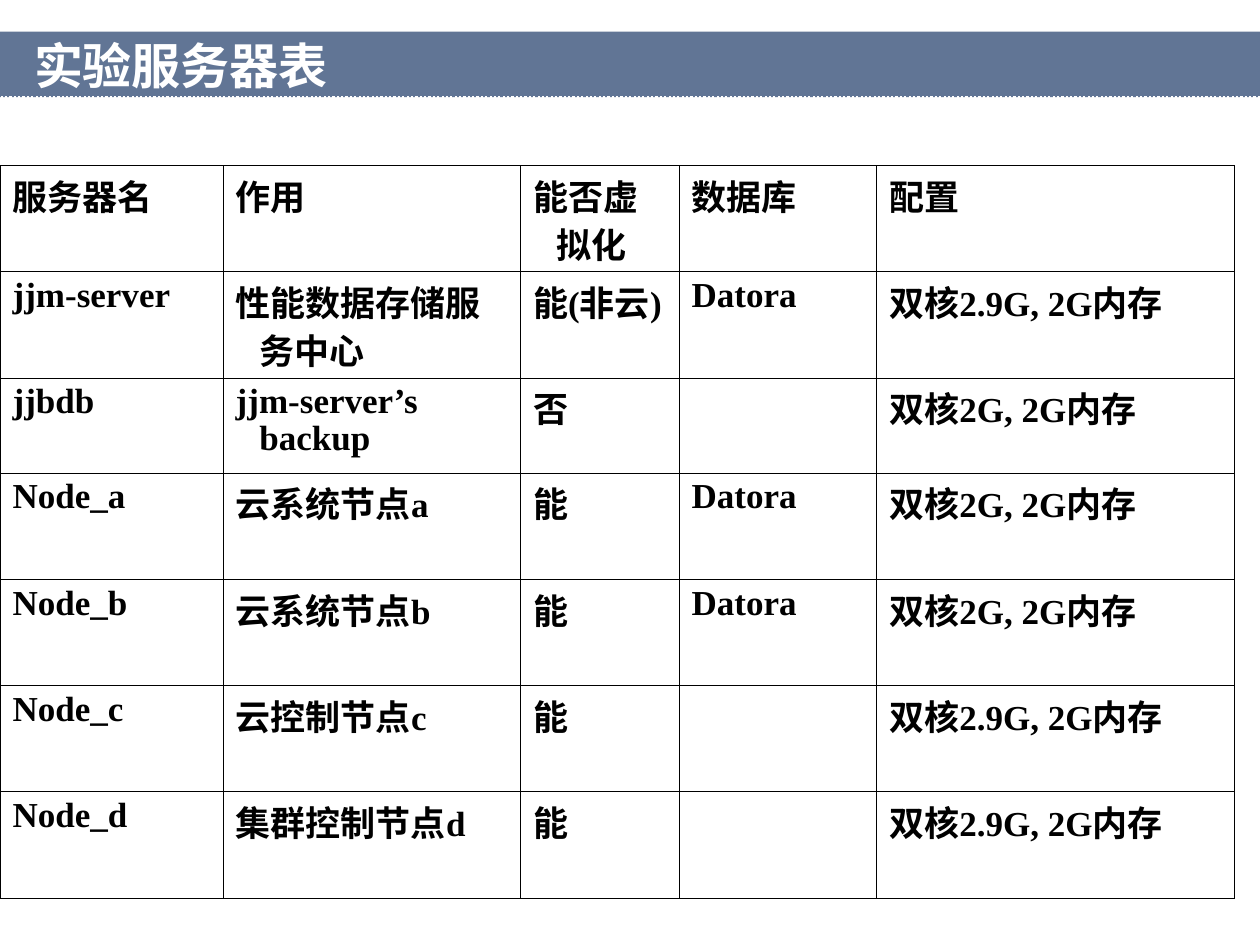
from lxml.etree import SubElement
from pptx import Presentation
from pptx.dml.color import RGBColor
from pptx.enum.dml import MSO_LINE_DASH_STYLE as Dash
from pptx.enum.lang import MSO_LANGUAGE_ID as Language
from pptx.enum.shapes import MSO_CONNECTOR_TYPE as Connector, MSO_SHAPE as Shape
from pptx.enum.text import MSO_ANCHOR as Anchor, MSO_AUTO_SIZE as AutoSize
from pptx.oxml.ns import qn
from pptx.util import Pt

COLORS = {"band": "617595", "white": "FFFFFF", "black": "000000"}

COLUMN_WIDTHS = [127.5, 170, 90.5, 113, 204.5]
BACKUP_ROW = 2
SERVERS = [
    ["服务器名", "作用", "能否虚拟化", "数据库", "配置"],
    ["jjm-server", "性能数据存储服务中心", "能(非云)", "Datora", "双核2.9G, 2G内存"],
    ["jjbdb", "jjm-server’s backup", "否", "", "双核2G, 2G内存"],
    ["Node_a", "云系统节点a", "能", "Datora", "双核2G, 2G内存"],
    ["Node_b", "云系统节点b", "能", "Datora", "双核2G, 2G内存"],
    ["Node_c", "云控制节点c", "能", "", "双核2.9G, 2G内存"],
    ["Node_d", "集群控制节点d", "能", "", "双核2.9G, 2G内存"],
]


def color(name):
    return RGBColor.from_string(COLORS[name])


def add_run(paragraph, text, font_name, size, color_name):
    run = paragraph.add_run()
    run.text = text
    run.font.name = font_name
    run.font.size = Pt(size)
    run.font.bold = True
    run.font.color.rgb = color(color_name)
    run.font.language_id = Language.SIMPLIFIED_CHINESE


def add_title_band(slide, left, top, width, height, title):
    # Coloured band
    band = slide.shapes.add_shape(
        Shape.RECTANGLE, Pt(left), Pt(top), Pt(width), Pt(height))
    band.shadow.inherit = False
    band.fill.solid()
    band.fill.fore_color.rgb = color("band")
    band.line.fill.background()

    # Dotted rule along the lower edge
    bottom = top + height
    rule = slide.shapes.add_connector(
        Connector.STRAIGHT, Pt(left + width), Pt(bottom), Pt(left), Pt(bottom))
    rule.line.color.rgb = color("white")
    rule.line.width = Pt(1.25)
    rule.line.dash_style = Dash.ROUND_DOT
    SubElement(rule._element.spPr, qn("a:effectLst"))

    # Title text
    box = slide.shapes.add_textbox(
        Pt(left + 19.5), Pt(top + 6.5), Pt(width - 69), Pt(30))
    frame = box.text_frame
    frame.margin_left = frame.margin_top = 0
    frame.margin_right = frame.margin_bottom = 0
    frame.word_wrap = True
    frame.auto_size = AutoSize.SHAPE_TO_FIT_TEXT
    frame.vertical_anchor = Anchor.MIDDLE
    paragraph = frame.paragraphs[0]
    paragraph.line_spacing = 0.9
    add_run(paragraph, title, "Arial", 28, "white")


def style_cell(cell):
    properties = cell._tc.get_or_add_tcPr()
    for side in ("a:lnL", "a:lnR", "a:lnT", "a:lnB"):
        border = SubElement(properties, qn(side), w=str(Pt(0.45)))
        fill = SubElement(border, qn("a:solidFill"))
        SubElement(fill, qn("a:srgbClr"), val=COLORS["black"])
    cell.fill.background()
    cell.margin_left = cell.margin_right = Pt(7.2)
    cell.margin_top = cell.margin_bottom = Pt(3.6)


def fill_cell(cell, text):
    paragraph = cell.text_frame.paragraphs[0]
    paragraph.line_spacing = 0.95
    # Hanging indent for wrapped lines
    properties = paragraph._p.get_or_add_pPr()
    properties.set("marL", str(Pt(13.5)))
    properties.set("indent", str(-Pt(13.5)))
    add_run(paragraph, text, "Times New Roman", 20, "black")


def add_server_table(slide, left, top, width, height):
    table = slide.shapes.add_table(
        len(SERVERS), len(COLUMN_WIDTHS),
        Pt(left), Pt(top), Pt(width), Pt(height)).table
    table.first_row = False
    table.horz_banding = False
    for column, column_width in zip(table.columns, COLUMN_WIDTHS):
        column.width = Pt(column_width)

    # Equal rows, apart from the shorter backup server row
    backup_height = 54.25
    row_height = (height - backup_height) / (len(SERVERS) - 1)
    for index, (row, values) in enumerate(zip(table.rows, SERVERS)):
        row.height = Pt(backup_height if index == BACKUP_ROW else row_height)
        for cell, text in zip(row.cells, values):
            style_cell(cell)
            if text:
                fill_cell(cell, text)


def main():
    presentation = Presentation()
    presentation.slide_width, presentation.slide_height = Pt(720), Pt(540)
    slide = presentation.slides.add_slide(presentation.slide_layouts[6])
    add_title_band(slide, 0, 18, 720, 37.5, "实验服务器表")
    add_server_table(slide, 0, 94.5, sum(COLUMN_WIDTHS), 418.75)
    presentation.save("out.pptx")


if __name__ == "__main__":
    main()
